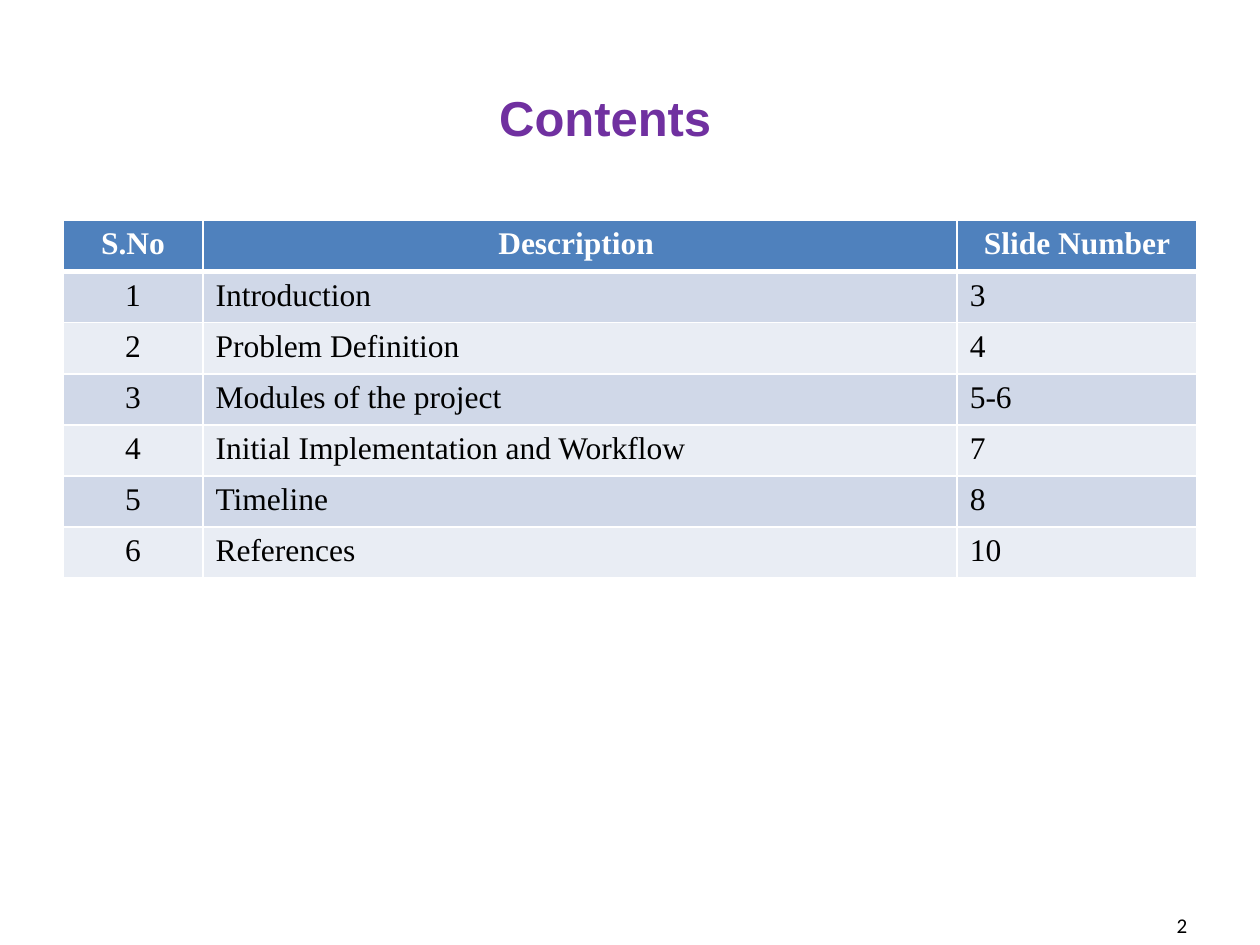
from lxml.etree import SubElement as Sub
from pptx import Presentation
from pptx.dml.color import RGBColor as Rgb
from pptx.enum.text import MSO_ANCHOR as Anchor, PP_ALIGN as Align
from pptx.oxml.ns import qn
from pptx.util import Pt

ROWS = [
    ("S.No", "Description ", "Slide Number"),
    ("1", "Introduction", "3"),
    ("2", "Problem Definition", "4"),
    ("3", "Modules of the project", "5-6"),
    ("4", "Initial Implementation and Workflow", "7"),
    ("5", "Timeline", "8"),
    ("6", "References", "10"),
]
WIDTHS = (80, 431, 137)
ROW_H = 29.2
HEAD, BANDS = "4F81BD", ("E9EDF4", "D0D8E8")
WHITE, BLACK = "FFFFFF", "000000"


def color(code):
    return Rgb.from_string(code)


def write(frame, text, face, size, code, align, bold=False):
    para = frame.paragraphs[0]
    para.text = text
    para.alignment = align
    font = para.font
    font.name, font.size, font.bold = face, Pt(size), bold
    font.color.rgb = color(code)


def add_text(slide, area, *style):
    frame = slide.shapes.add_textbox(*map(Pt, area)).text_frame
    frame.word_wrap = True
    frame.vertical_anchor = Anchor.MIDDLE
    write(frame, *style)


def add_edge(cell, side, width):
    line = Sub(cell._tc.get_or_add_tcPr(), qn(f"a:ln{side}"), w=str(Pt(width)))
    fill = Sub(line, qn("a:solidFill"))
    Sub(fill, qn("a:srgbClr"), val=WHITE)


def style_cell(cell, text, row, col):
    head = row == 0
    edges = {"L": 1, "R": 1, "T": 3 if row == 1 else 1, "B": 3 if head else 1}
    for side, width in edges.items():
        add_edge(cell, side, width)
    cell.fill.solid()
    cell.fill.fore_color.rgb = color(HEAD if head else BANDS[row % 2])
    align = Align.CENTER if head or col == 0 else Align.LEFT
    write(cell.text_frame, text, "Times New Roman", 18,
          WHITE if head else BLACK, align, head)


def add_grid(slide, left, top):
    area = (left, top, sum(WIDTHS), ROW_H * len(ROWS))
    table = slide.shapes.add_table(
        len(ROWS), len(WIDTHS), *map(Pt, area)).table
    for col, width in zip(table.columns, WIDTHS):
        col.width = Pt(width)
    for row, texts in enumerate(ROWS):
        table.rows[row].height = Pt(ROW_H)
        for col, text in enumerate(texts):
            style_cell(table.cell(row, col), text, row, col)


def main():
    deck = Presentation()
    deck.slide_width, deck.slide_height = Pt(720), Pt(540)
    slide = deck.slides.add_slide(deck.slide_layouts[6])
    add_text(slide, (0, 21.6, 684, 90), " Contents",
             "Arial", 28, "7030A0", Align.CENTER, True)
    add_text(slide, (517.5, 511.5, 168, 34), "2",
             "Calibri", 12, BLACK, Align.RIGHT)
    add_grid(slide, 36, 126)
    deck.save("out.pptx")


if __name__ == "__main__":
    main()
